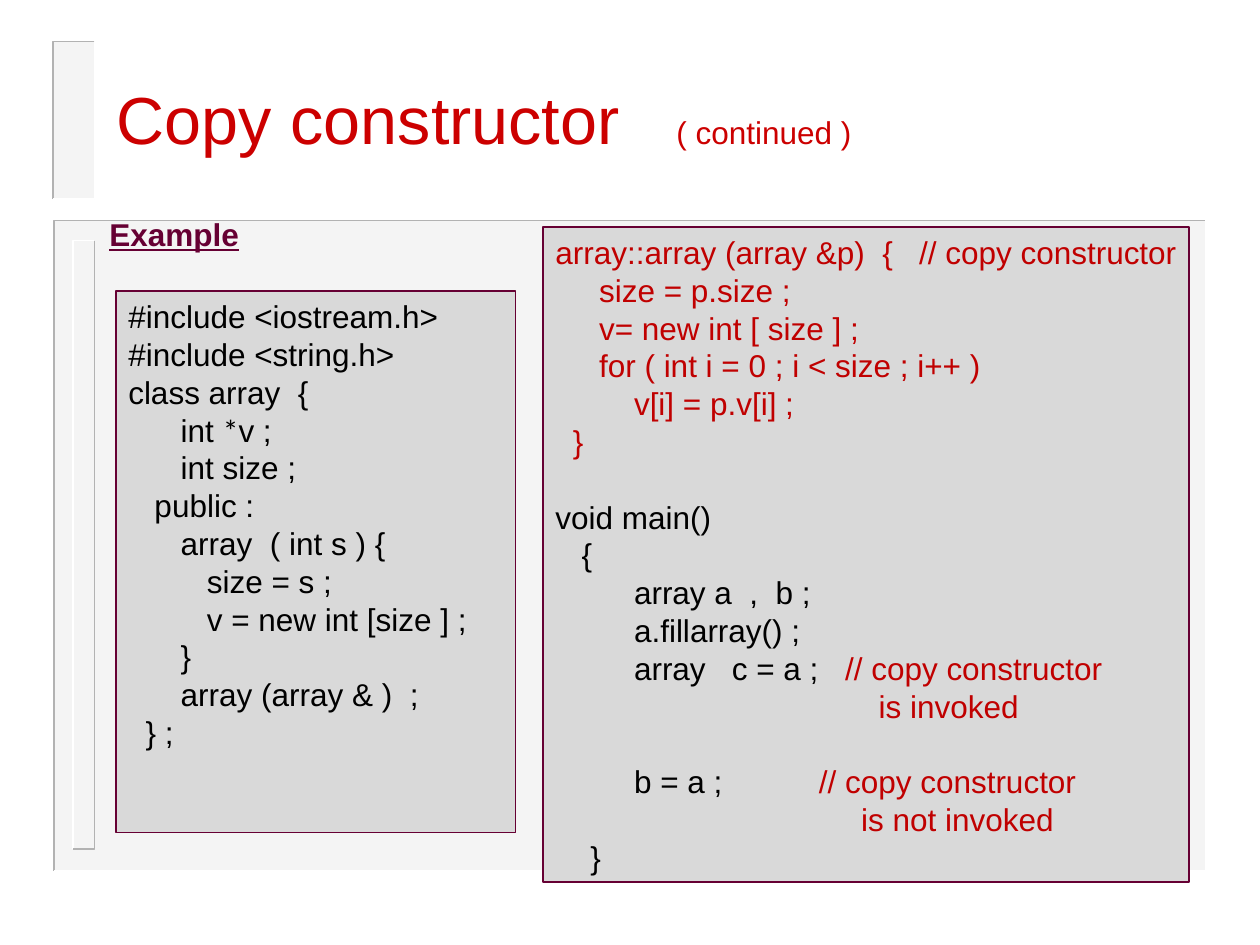
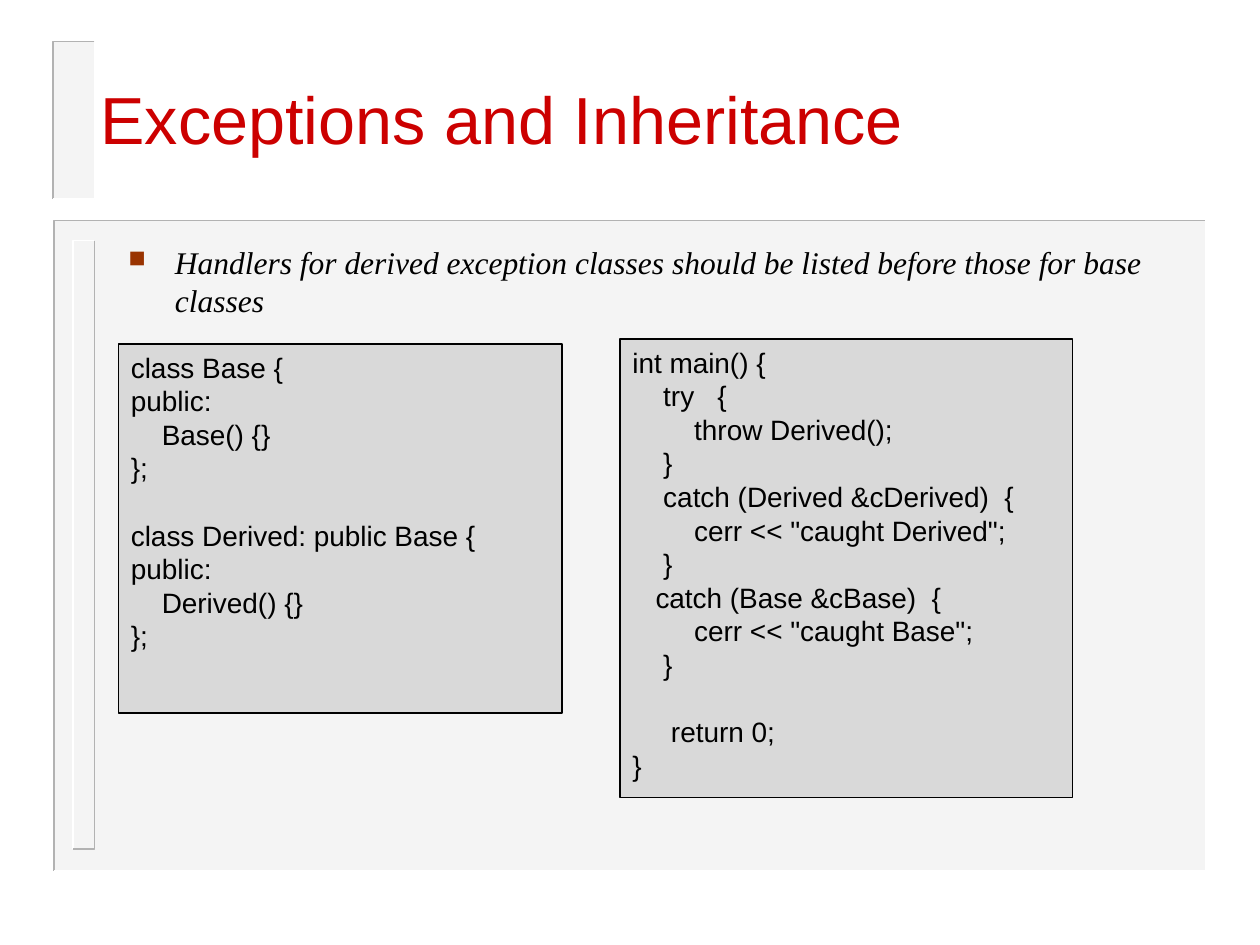
import pptx
import pptx.util
from lxml import etree
from pptx.dml.color import RGBColor
from pptx.enum.shapes import MSO_SHAPE
from pptx.enum.text import MSO_ANCHOR, PP_ALIGN
from pptx.oxml.ns import qn
from pptx.util import Inches, Pt

BLACK = RGBColor(0x00, 0x00, 0x00)
WHITE = RGBColor(0xFF, 0xFF, 0xFF)
TITLE_RED = RGBColor(0xCC, 0x00, 0x00)
CODE_RED = RGBColor(0xC0, 0x00, 0x00)
PLUM = RGBColor(0x66, 0x00, 0x33)
PANEL_GREY = RGBColor(0xF4, 0xF4, 0xF4)
EDGE_GREY = RGBColor(0xB2, 0xB2, 0xB2)
CODE_GREY = RGBColor(0xD9, 0xD9, 0xD9)
BULLET_BROWN = "993300"

SANS, SERIF, STAR_FONT = "Arial", "Times New Roman", "Calibri"
LINE_PITCH = 1.2

ARRAY_CLASS = [
    "#include <iostream.h>",
    "#include <string.h>",
    "class array  {",
    [("      int ", BLACK, SANS), ("*", BLACK, STAR_FONT), ("v ;", BLACK, SANS)],
    "      int size ;",
    "   public :",
    "      array  ( int s ) {",
    "         size = s ;",
    "         v = new int [size ] ;",
    "      }",
    "      array (array & )  ;",
    "  } ;",
]


def red(text):
    return [(text, CODE_RED, SANS)]


COPY_AND_MAIN = [
    red("array::array (array &p)  {   // copy constructor"),
    red("     size = p.size ;"),
    red("     v= new int [ size ] ;"),
    red("     for ( int i = 0 ; i < size ; i++ )"),
    red("         v[i] = p.v[i] ;"),
    red("  }"),
    "",
    "void main()",
    "   {",
    "         array a  ,  b ;",
    "         a.fillarray() ;",
    [("         array   c = a ;   ", BLACK, SANS)] + red("// copy constructor"),
    red("                                     is invoked"),
    "",
    [("         b = a ;          ", BLACK, SANS)] + red(" // copy constructor"),
    red("                                   is not invoked"),
    "    }",
]

BASE_AND_DERIVED = [
    "class Base {",
    "public:",
    "    Base() {}",
    "};",
    "",
    "class Derived: public Base {",
    "public:",
    "    Derived() {}",
    "};",
]

TRY_AND_CATCH = [
    "int main() {",
    "    try   {",
    "        throw Derived();",
    "    }",
    "    catch (Derived &cDerived)  {",
    '        cerr << "caught Derived";',
    "    }",
    "   catch (Base &cBase)  {",
    '        cerr << "caught Base";',
    "    }",
    "",
    "     return 0;",
    "}",
]


def add_run(paragraph, text, size, color, font=SANS):
    run = paragraph.add_run()
    run.text = text
    run.font.size = Pt(size)
    run.font.name = font
    run.font.color.rgb = color
    return run


def add_corner(slide, points, color):
    """Draw an open two-sided line through three points."""
    start, *rest = [(Inches(x), Inches(y)) for x, y in points]
    builder = slide.shapes.build_freeform(*start)
    builder.add_line_segments(rest, close=False)
    corner = builder.convert_to_shape()
    corner.shadow.inherit = False
    corner.fill.background()
    corner.line.color.rgb = color
    corner.line.width = Pt(1)


def add_bevel(slide, left, top, width, height, light_corner, dark_corner):
    """Edge a rectangle: light_corner is top left, dark_corner bottom right."""
    right, bottom = left + width, top + height
    add_corner(slide, [(right, top), (left, top), (left, bottom)], light_corner)
    add_corner(slide, [(right, top), (right, bottom), (left, bottom)], dark_corner)


def add_rect(slide, left, top, width, height, fill):
    rect = slide.shapes.add_shape(
        MSO_SHAPE.RECTANGLE, Inches(left), Inches(top), Inches(width), Inches(height))
    rect.shadow.inherit = False
    rect.fill.solid()
    rect.fill.fore_color.rgb = fill
    rect.line.fill.background()
    return rect


def add_frame(slide):
    """Draw the title tab, the content panel and the ridge inside it."""
    panel = (0.43, 1.75, 9.14, 5.16)
    ridge = (0.58, 1.91, 0.17, 4.83)
    title_tab = (0.42, 0.33, 0.33, 1.25)
    add_rect(slide, *panel, PANEL_GREY)
    add_bevel(slide, *panel, EDGE_GREY, WHITE)
    add_bevel(slide, *ridge, WHITE, EDGE_GREY)
    add_rect(slide, *title_tab, PANEL_GREY)
    add_bevel(slide, *title_tab, EDGE_GREY, WHITE)


def add_text_box(slide, left, top, width, height):
    frame = slide.shapes.add_textbox(
        Inches(left), Inches(top), Inches(width), Inches(height)).text_frame
    frame.word_wrap = True
    return frame


def add_title(slide, left, width, title, remark=None):
    frame = add_text_box(slide, left, 0.31, width, 1.25)
    frame.vertical_anchor = MSO_ANCHOR.MIDDLE
    paragraph = frame.paragraphs[0]
    if remark:
        tabs = etree.SubElement(paragraph._p.get_or_add_pPr(), qn("a:tabLst"))
        etree.SubElement(tabs, qn("a:tab"), pos=str(Inches(4.44)), algn="l")
        title += "\t"
    paragraph.line_spacing = Pt(38 * LINE_PITCH)
    add_run(paragraph, title, 38, TITLE_RED)
    if remark:
        add_run(paragraph, remark, 18, TITLE_RED)


def add_heading(slide, text):
    paragraph = add_text_box(slide, 0.77, 1.66, 1.4, 0.4).paragraphs[0]
    paragraph.line_spacing = Pt(18 * LINE_PITCH)
    run = add_run(paragraph, text, 18, PLUM)
    run.font.bold = True
    run.font.underline = True


def add_bullet(slide, text):
    paragraph = add_text_box(slide, 0.92, 1.88, 8.5, 0.88).paragraphs[0]
    properties = paragraph._p.get_or_add_pPr()
    properties.set("marL", str(Inches(0.37)))
    properties.set("indent", str(Inches(-0.37)))
    color = etree.SubElement(properties, qn("a:buClr"))
    etree.SubElement(color, qn("a:srgbClr"), val=BULLET_BROWN)
    etree.SubElement(properties, qn("a:buSzPct"), val="75000")
    etree.SubElement(properties, qn("a:buChar"), char="■")
    paragraph.line_spacing = Pt(18 * LINE_PITCH)
    add_run(paragraph, text, 18, BLACK, SERIF).font.italic = True


def add_code(slide, box, lines, size, border, border_width=0.75, wrap=True):
    """Add a code box; an empty line becomes space before the next one."""
    panel = add_rect(slide, *box, CODE_GREY)
    panel.line.color.rgb = border
    panel.line.width = Pt(border_width)
    frame = panel.text_frame
    frame.word_wrap = wrap
    frame.vertical_anchor = MSO_ANCHOR.TOP
    pitch = Pt(size * LINE_PITCH)
    paragraph, gap = frame.paragraphs[0], False
    for index, line in enumerate(lines):
        if not line:
            gap = True
            continue
        if index:
            paragraph = frame.add_paragraph()
        paragraph.alignment = PP_ALIGN.LEFT
        paragraph.line_spacing = pitch
        if gap:
            paragraph.space_before = pitch
            gap = False
        runs = [(line, BLACK, SANS)] if isinstance(line, str) else line
        for text, color, font in runs:
            add_run(paragraph, text, size, color, font)


def add_slide(deck):
    slide = deck.slides.add_slide(deck.slide_layouts[6])
    add_frame(slide)
    return slide


def build_copy_constructor(deck):
    slide = add_slide(deck)
    add_title(slide, 0.83, 9.17, "Copy constructor", "( continued )")
    add_code(slide, (0.92, 2.31, 3.17, 4.3), ARRAY_CLASS, 18, PLUM)
    add_code(slide, (4.31, 1.8, 5.13, 5.2), COPY_AND_MAIN, 18, PLUM, 1, wrap=False)
    add_heading(slide, "Example")


def build_exceptions(deck):
    slide = add_slide(deck)
    add_bullet(slide, "Handlers for derived exception classes should be listed "
                      "before those for base classes")
    add_title(slide, 0.7, 8.15, "Exceptions and Inheritance")
    add_code(slide, (0.94, 2.73, 3.52, 2.93), BASE_AND_DERIVED, 16, BLACK)
    add_code(slide, (4.92, 2.69, 3.59, 3.64), TRY_AND_CATCH, 16, BLACK)


def main():
    deck = pptx.Presentation()
    deck.slide_width = Inches(10)
    deck.slide_height = Inches(7.5)
    build_copy_constructor(deck)
    build_exceptions(deck)
    deck.save("out.pptx")


if __name__ == "__main__":
    main()
